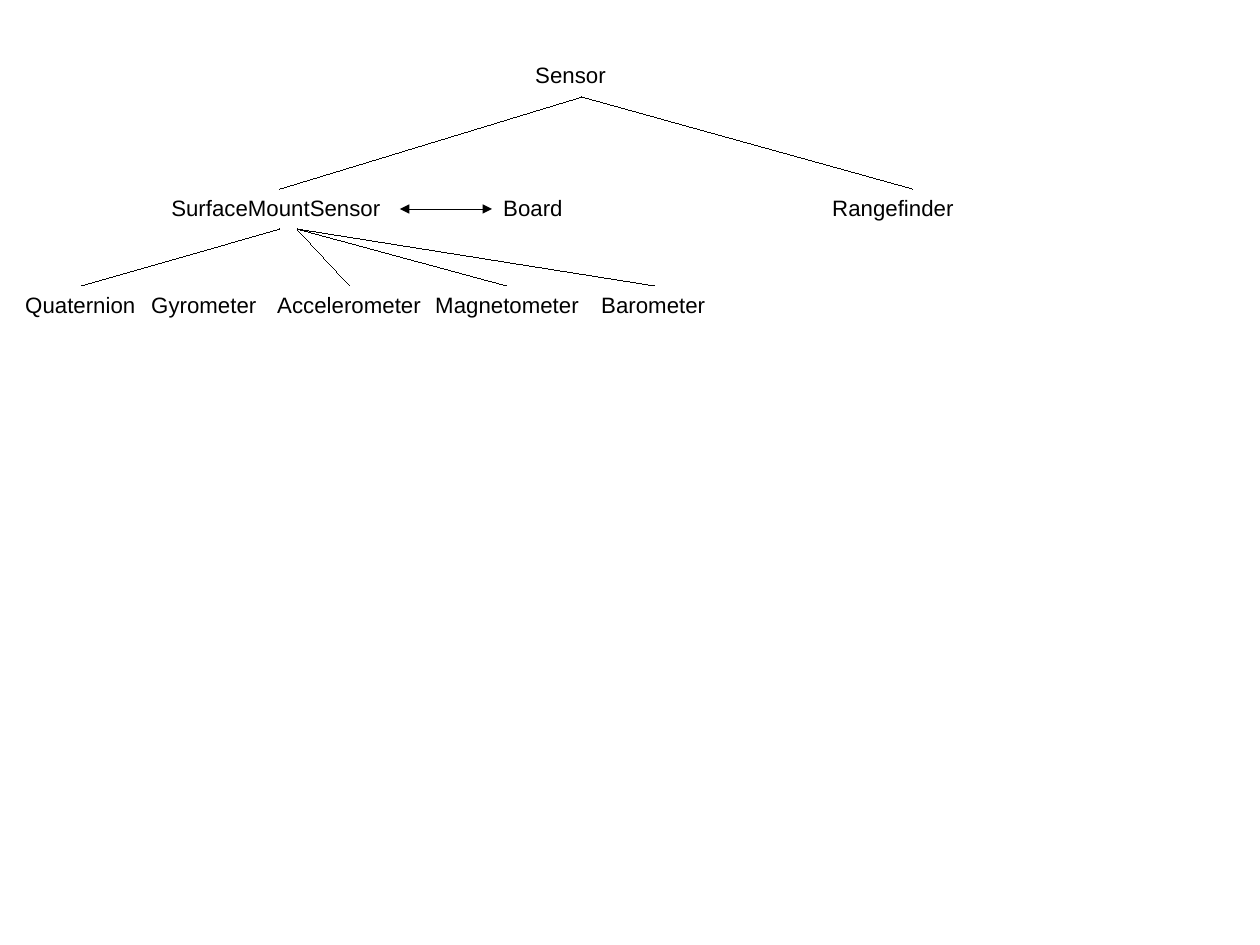
from dataclasses import dataclass

from lxml.etree import SubElement
from pptx import Presentation
from pptx.dml.color import RGBColor
from pptx.enum.shapes import MSO_CONNECTOR
from pptx.enum.text import MSO_ANCHOR
from pptx.oxml.ns import qn
from pptx.util import Pt

EMU_PER_PX = 8000
SLIDE_SIZE = (1260, 945)  # 28 by 21 cm
LABEL_HEIGHT = 39
SENSOR_Y, KIND_Y, DEVICE_Y = 56, 189, 286


@dataclass(frozen=True)
class Theme:
    ink: RGBColor = RGBColor(0, 0, 0)
    paper: RGBColor = RGBColor(255, 255, 255)
    font: str = "Arial"
    text_size: Pt = Pt(14)


THEME = Theme()

# Rows of the class tree: top, then (name, left, width)
ROWS = {
    SENSOR_Y: [("Sensor", 524, 115)],
    KIND_Y: [
        ("SurfaceMountSensor", 160, 240),
        ("Board", 492, 90),
        ("Rangefinder", 821, 184),
    ],
    DEVICE_Y: [
        ("Quaternion", 14, 135),
        ("Gyrometer", 140, 134),
        ("Accelerometer", 266, 168),
        ("Magnetometer", 424, 167),
        ("Barometer", 590, 130),
    ],
}

# Branches: (parent x, parent y), child y, child xs
BRANCHES = [
    ((582, 97), KIND_Y, [280, 913]),
    ((280, 229), DEVICE_Y, [81]),
    ((297, 229), DEVICE_Y, [350, 507, 655]),
]


def px(length):
    return length * EMU_PER_PX


def set_format(target, values):
    for name, value in values.items():
        setattr(target, name, value)


def add_label(page, name, left, top, width):
    box = page.shapes.add_textbox(px(left), px(top), px(width), px(LABEL_HEIGHT))
    frame = box.text_frame
    set_format(frame, {"word_wrap": True, "vertical_anchor": MSO_ANCHOR.TOP})
    span = frame.paragraphs[0].add_run()
    span.text = name
    set_format(span.font, {"name": THEME.font, "size": THEME.text_size})
    span.font.color.rgb = THEME.ink


def add_line(page, start, end):
    """Draw a line of default width, free of the theme's line style."""
    line = page.shapes.add_connector(
        MSO_CONNECTOR.STRAIGHT, *map(px, start), *map(px, end))
    line._element.remove(line._element.find(qn("p:style")))
    line.line.color.rgb = THEME.ink
    SubElement(line._element.spPr, qn("a:effectLst"))
    return line


def add_double_arrow(page, start, end):
    line = add_line(page, start, end)
    outline = line._element.spPr.find(qn("a:ln"))
    for tag in ("a:headEnd", "a:tailEnd"):
        SubElement(outline, qn(tag), type="triangle")


def main():
    deck = Presentation()
    deck.slide_width, deck.slide_height = map(px, SLIDE_SIZE)
    page = deck.slides.add_slide(deck.slide_layouts[6])
    page.background.fill.solid()
    page.background.fill.fore_color.rgb = THEME.paper

    for top, labels in ROWS.items():
        for name, left, width in labels:
            add_label(page, name, left, top, width)
    for parent, child_y, child_xs in BRANCHES:
        for child_x in child_xs:
            add_line(page, parent, (child_x, child_y))
    add_double_arrow(page, (400, 209), (492, 209))

    deck.save("out.pptx")


if __name__ == "__main__":
    main()
